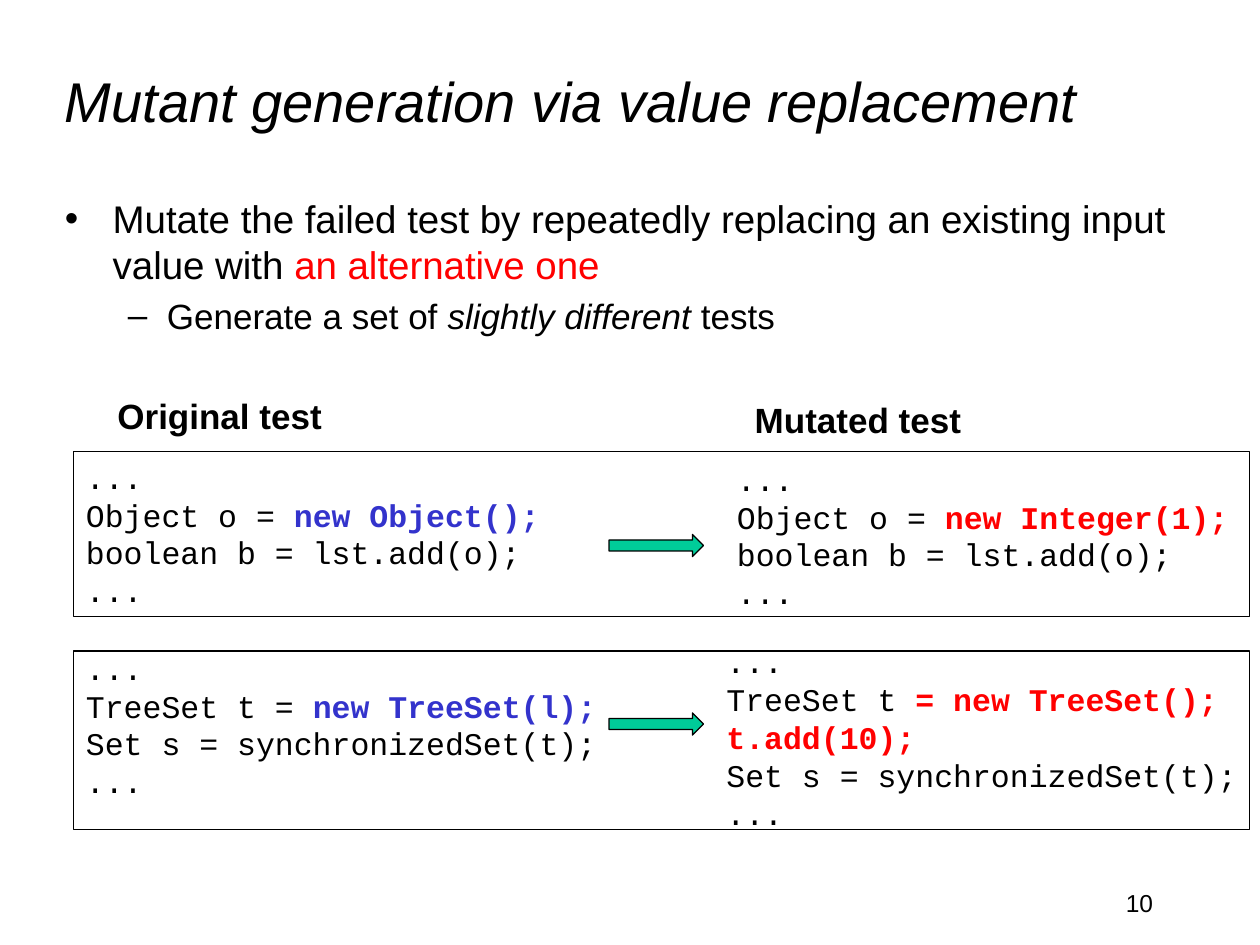
from lxml import etree
from pptx import Presentation
from pptx.dml.color import RGBColor
from pptx.enum.shapes import MSO_SHAPE
from pptx.enum.text import MSO_ANCHOR, PP_ALIGN
from pptx.oxml.ns import qn
from pptx.util import Inches, Pt

RECTANGLE, RIGHT_ARROW = MSO_SHAPE.RECTANGLE, MSO_SHAPE.RIGHT_ARROW
TOP, MIDDLE = MSO_ANCHOR.TOP, MSO_ANCHOR.MIDDLE
LEFT, RIGHT = PP_ALIGN.LEFT, PP_ALIGN.RIGHT
BLACK = RGBColor(0x00, 0x00, 0x00)
RED = RGBColor(0xFF, 0x00, 0x00)
BLUE = RGBColor(0x33, 0x33, 0xCC)
GREEN = RGBColor(0x00, 0xCC, 0x99)
SANS, MONO = "Arial", "Courier New"
COLUMNS, ROWS = 120, 90


class SlideBuilder:
    """Draws styled elements on one slide, placed in grid columns and rows."""

    def __init__(self, deck):
        """Add a blank slide and measure its grid cells."""
        self.slide = deck.slides.add_slide(deck.slide_layouts[6])
        self.column = deck.slide_width / COLUMNS
        self.row = deck.slide_height / ROWS

    def box(self, area):
        """Turn (column, row, columns, rows) into lengths."""
        units = (self.column, self.row) * 2
        return [round(n * unit) for n, unit in zip(area, units)]

    def text(self, area, lines, anchor=TOP, align=LEFT, **style):
        """Add a text box; each line is a list of (text, own format) runs."""
        frame = self.slide.shapes.add_textbox(*self.box(area)).text_frame
        frame.word_wrap = True
        frame.vertical_anchor = anchor
        for index, runs in enumerate(lines):
            paragraph = frame.paragraphs[0] if index == 0 else frame.add_paragraph()
            paragraph.alignment = align
            self.add_runs(paragraph, runs, **style)
        return frame

    def add_runs(self, paragraph, runs, color=BLACK, **style):
        """Append formatted runs to a paragraph."""
        for words, own in runs:
            run = paragraph.add_run()
            run.text = words
            look = {"name": SANS, "color": color, **style, **own}
            run.font.color.rgb = look.pop("color")
            for attribute, value in look.items():
                setattr(run.font, attribute, value)

    def bullet(self, paragraph, mark, margin, hang, space):
        """Give a paragraph a bullet with a hanging indent."""
        paragraph.space_before = Pt(space)
        properties = paragraph._p.get_or_add_pPr()
        properties.set("marL", str(Inches(margin)))
        properties.set("indent", str(-Inches(hang)))
        etree.SubElement(properties, qn("a:buFont")).set("typeface", SANS)
        etree.SubElement(properties, qn("a:buChar")).set("char", mark)

    def shape(self, kind, area, fill=None):
        """Add a thinly outlined shape, filled if a colour is given."""
        shape = self.slide.shapes.add_shape(kind, *self.box(area))
        shape.shadow.inherit = False
        if fill is None:
            shape.fill.background()
        else:
            shape.fill.solid()
            shape.fill.fore_color.rgb = fill
        shape.line.color.rgb = BLACK
        shape.line.width = Pt(0.75)


def marked(color):
    """Format of a code fragment that the mutation touches."""
    return {"color": color, "bold": True}


def code(*statements):
    """Wrap statements in ellipsis lines; strings become plain runs."""
    lines = ["...", *statements, "..."]
    return [[(line, {})] if isinstance(line, str) else line for line in lines]


deck = Presentation()
deck.slide_width, deck.slide_height = Inches(10), Inches(7.5)
page = SlideBuilder(deck)

page.text((5, 2, 102, 15), [[("Mutant generation via value replacement", {})]],
          anchor=MIDDLE, size=Pt(32), italic=True)

points = page.text((5, 18, 115, 16), [
    [("Mutate the failed test by repeatedly replacing an existing input value with ",
      {"size": Pt(22)}),
     ("an alternative one", {"size": Pt(22), "color": RED})],
    [("Generate a set of ", {}), ("slightly different ", {"italic": True}), ("tests", {})],
], size=Pt(20))
for point, layout in zip(points.paragraphs, [("•", 0.38, 0.38, 4.4), ("–", 0.81, 0.31, 4)]):
    page.bullet(point, *layout)

for heading, area in [("Original test", (10, 37, 33, 5.3)),
                      ("Mutated test", (70.7, 37.4, 36.2, 5.3))]:
    page.text(area, [[(heading, {})]], size=Pt(20), bold=True)

add_call = "boolean b = lst.add(o);"
wrap_call = "Set s = synchronizedSet(t);"
examples = [
    ((7, 43, 52, 15.7),
     code([("Object o = ", {}), ("new Object();", marked(BLUE))], add_call)),
    ((69, 43.2, 51, 15.7),
     code([("Object o = ", {}), ("new Integer(1);", marked(RED))], add_call)),
    ((7, 61.2, 52, 15.7),
     code([("TreeSet t = ", {}), ("new TreeSet(l);", marked(BLUE))], wrap_call)),
    ((68, 60.6, 52, 19.4),
     code([("TreeSet t", {}), (" = new TreeSet();", marked(RED))],
          [("t.add(10);", marked(RED))], wrap_call)),
]
for area, listing in examples:
    page.text(area, listing, name=MONO, size=Pt(18))

for frame_top, frame_height, arrow_top in [(43, 15.7, 50.9), (62, 17, 67.9)]:
    page.shape(RIGHT_ARROW, (58, arrow_top, 9, 2.1), GREEN)
    page.shape(RECTANGLE, (7, frame_top, 112, frame_height))

page.text((86, 84, 25, 6), [[("10", {})]], align=RIGHT, size=Pt(14))

deck.save("out.pptx")
